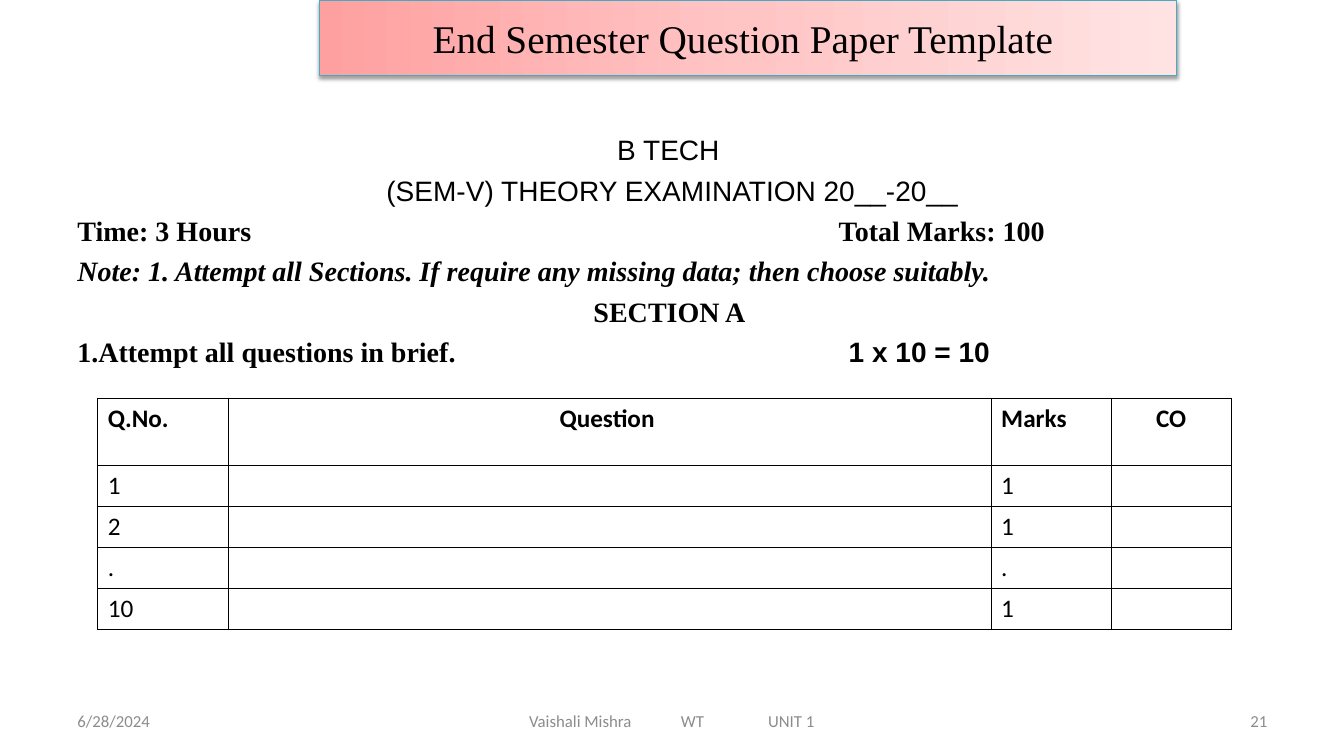
import dataclasses
import typing

import pptx
import pptx.dml.color
import pptx.enum.shapes
import pptx.enum.text
import pptx.oxml
import pptx.oxml.ns
import pptx.util

Pt = pptx.util.Pt
Align = pptx.enum.text.PP_ALIGN
Anchor = pptx.enum.text.MSO_ANCHOR
NAMESPACE = pptx.oxml.ns.nsdecls("a")


@dataclasses.dataclass(frozen=True)
class Theme:
    black: str = "000000"
    white: str = "FFFFFF"
    grey: str = "8C8C8C"
    banner_line: str = "46AAC5"
    banner_stops: tuple[tuple[int, str], ...] = ((0, "FFA0A0"), (50, "FFC5C5"), (100, "FFE3E3"))
    sans: str = "Arial"
    serif: str = "Times New Roman"
    plain: str = "Calibri"
    title_size: float = 28
    body_size: float = 20
    table_size: float = 18
    footer_size: float = 12


THEME = Theme()


@dataclasses.dataclass(frozen=True)
class Span:
    text: str
    font: str
    size: float
    color: str = THEME.black
    bold: bool = False
    italic: bool = False


@dataclasses.dataclass(frozen=True)
class Line:
    spans: tuple[Span, ...]
    align: Align = Align.LEFT
    tabs: tuple[float, ...] = ()
    numbered: bool = False


@dataclasses.dataclass(frozen=True)
class TextBox:
    left: float
    top: float
    width: float
    height: float
    lines: tuple[Line, ...]
    anchor: Anchor = Anchor.MIDDLE
    inset: float = 7.2


def body_line(text: str, align: Align = Align.LEFT, font: str = THEME.serif,
              bold: bool = True, italic: bool = False) -> Line:
    return Line((Span(text, font, THEME.body_size, bold=bold, italic=italic),), align)


def footer_box(left: float, width: float, text: str, align: Align,
               tabs: tuple[float, ...] = (), inset: float = 7.2) -> TextBox:
    span = Span(text, THEME.plain, THEME.footer_size, THEME.grey)
    return TextBox(left, 500.4, width, 28.8, (Line((span,), align, tabs),), inset=inset)


def append_xml(parent: typing.Any, markup: str) -> None:
    parent.append(pptx.oxml.parse_xml(markup))


def solid(color: str) -> str:
    return f'<a:solidFill><a:srgbClr val="{color}"/></a:solidFill>'


def write_line(para: typing.Any, line: Line, space_before: float = 0) -> None:
    properties = para._p.get_or_add_pPr()
    if line.numbered:
        append_xml(properties, f'<a:buClr {NAMESPACE}><a:srgbClr val="{THEME.black}"/></a:buClr>')
        append_xml(properties, f'<a:buAutoNum {NAMESPACE} type="arabicPeriod"/>')
    if line.tabs:
        stops = "".join(f'<a:tab pos="{Pt(stop)}" algn="l"/>' for stop in line.tabs)
        append_xml(properties, f"<a:tabLst {NAMESPACE}>{stops}</a:tabLst>")
    para.alignment = line.align
    para.space_before = Pt(space_before)
    for span in line.spans:
        run = para.add_run()
        run.text = span.text
        run.font.name = span.font
        run.font.size = Pt(span.size)
        run.font.bold = span.bold
        run.font.italic = span.italic
        run.font.color.rgb = pptx.dml.color.RGBColor.from_string(span.color)


def draw_text(page: typing.Any, item: TextBox) -> None:
    box = page.shapes.add_textbox(Pt(item.left), Pt(item.top), Pt(item.width), Pt(item.height))
    frame = box.text_frame
    frame.word_wrap = True
    frame.vertical_anchor = item.anchor
    frame.margin_left = Pt(item.inset)
    for index, line in enumerate(item.lines):
        para = frame.add_paragraph() if index else frame.paragraphs[0]
        write_line(para, line, 4.8 if index else 0)


def draw_banner(page: typing.Any, title: str) -> None:
    banner = page.shapes.add_shape(pptx.enum.shapes.MSO_SHAPE.RECTANGLE,
                                   Pt(228.2), Pt(0), Pt(612), Pt(54))
    banner.fill.gradient()
    banner.fill.gradient_angle = 0
    stops = banner._element.spPr.find(".//" + pptx.oxml.ns.qn("a:gsLst"))
    for stop in list(stops):
        stops.remove(stop)
    for percent, color in THEME.banner_stops:
        append_xml(stops, f'<a:gs {NAMESPACE} pos="{percent * 1000}"><a:srgbClr val="{color}"/></a:gs>')
    banner.line.color.rgb = pptx.dml.color.RGBColor.from_string(THEME.banner_line)
    banner.line.width = Pt(0.75)
    banner.shadow.inherit = False
    effects = banner._element.spPr.find(pptx.oxml.ns.qn("a:effectLst"))
    append_xml(effects, f'<a:outerShdw {NAMESPACE} blurRad="{Pt(3.1)}" dist="{Pt(1.6)}" dir="5400000" '
                        f'rotWithShape="0"><a:srgbClr val="{THEME.black}"><a:alpha val="38000"/>'
                        "</a:srgbClr></a:outerShdw>")
    banner.text_frame.vertical_anchor = Anchor.MIDDLE
    write_line(banner.text_frame.paragraphs[0],
               Line((Span(title, THEME.serif, THEME.title_size),), Align.CENTER))


def draw_cell(cell: typing.Any, text: str, align: Align, bold: bool) -> None:
    cell.fill.solid()
    cell.fill.fore_color.rgb = pptx.dml.color.RGBColor.from_string(THEME.white)
    properties = cell._tc.get_or_add_tcPr()
    for index, side in enumerate(("lnL", "lnR", "lnT", "lnB")):
        properties.insert(index, pptx.oxml.parse_xml(
            f'<a:{side} {NAMESPACE} w="{Pt(1)}">{solid(THEME.black)}</a:{side}>'))
    para = cell.text_frame.paragraphs[0]
    if text:
        write_line(para, Line((Span(text, THEME.plain, THEME.table_size, bold=bold),), align))
    else:
        para.font.size = Pt(THEME.table_size)


def draw_table(page: typing.Any, rows: tuple[tuple[str, ...], ...]) -> None:
    widths = (93.6, 544.6, 85.7, 85.7)
    heights = (48.2,) + (29.2,) * (len(rows) - 1)
    aligns = (Align.LEFT, Align.CENTER, Align.LEFT, Align.CENTER)
    table = page.shapes.add_table(len(rows), len(widths), Pt(69.8), Pt(284.4),
                                  Pt(sum(widths)), Pt(sum(heights))).table
    table.first_row = False
    table.horz_banding = False
    for column, width in zip(table.columns, widths):
        column.width = Pt(width)
    for row_index, (height, texts) in enumerate(zip(heights, rows)):
        table.rows[row_index].height = Pt(height)
        for column_index, (text, align) in enumerate(zip(texts, aligns)):
            draw_cell(table.cell(row_index, column_index), text, align, row_index == 0)


def main() -> None:
    deck = pptx.Presentation()
    deck.slide_width, deck.slide_height = Pt(960), Pt(540)
    page = deck.slides.add_slide(deck.slide_layouts[6])
    marks = Line(body_line("Time: 3 Hours\tTotal Marks: 100").spans, tabs=(543.8,))
    question = Line((Span("Attempt all questions in brief.\t", THEME.serif, THEME.body_size, bold=True),
                     Span("1 x 10 = 10", THEME.sans, THEME.body_size, bold=True)),
                    tabs=(551,), numbered=True)
    instructions = TextBox(48.2, 91.4, 864, 249.8, (
        body_line("B TECH ", Align.CENTER, THEME.sans, bold=False),
        body_line("(SEM-V) THEORY EXAMINATION 20__-20__", Align.CENTER, THEME.sans, bold=False),
        marks,
        body_line("Note: 1. Attempt all Sections. If require any missing data; then choose suitably.",
                  Align.JUSTIFY, italic=True),
        body_line("SECTION A ", Align.CENTER),
        question,
    ), Anchor.TOP)
    footers = (
        footer_box(48.2, 224, "6/28/2024", Align.LEFT),
        footer_box(328.3, 303.8, "Vaishali Mishra\tWT\tUNIT 1", Align.LEFT, (108.5, 170.7), 49.6),
        footer_box(688.3, 224, "21", Align.RIGHT),
    )
    for footer in footers:
        draw_text(page, footer)
    draw_banner(page, "End Semester Question Paper Template ")
    draw_text(page, instructions)
    draw_table(page, (
        ("Q.No.", "Question ", "Marks", "CO"),
        ("1", "", "1", ""),
        ("2", "", "1", ""),
        (".", "", ".", ""),
        ("10", "", "1", ""),
    ))
    deck.save("out.pptx")


if __name__ == "__main__":
    main()
